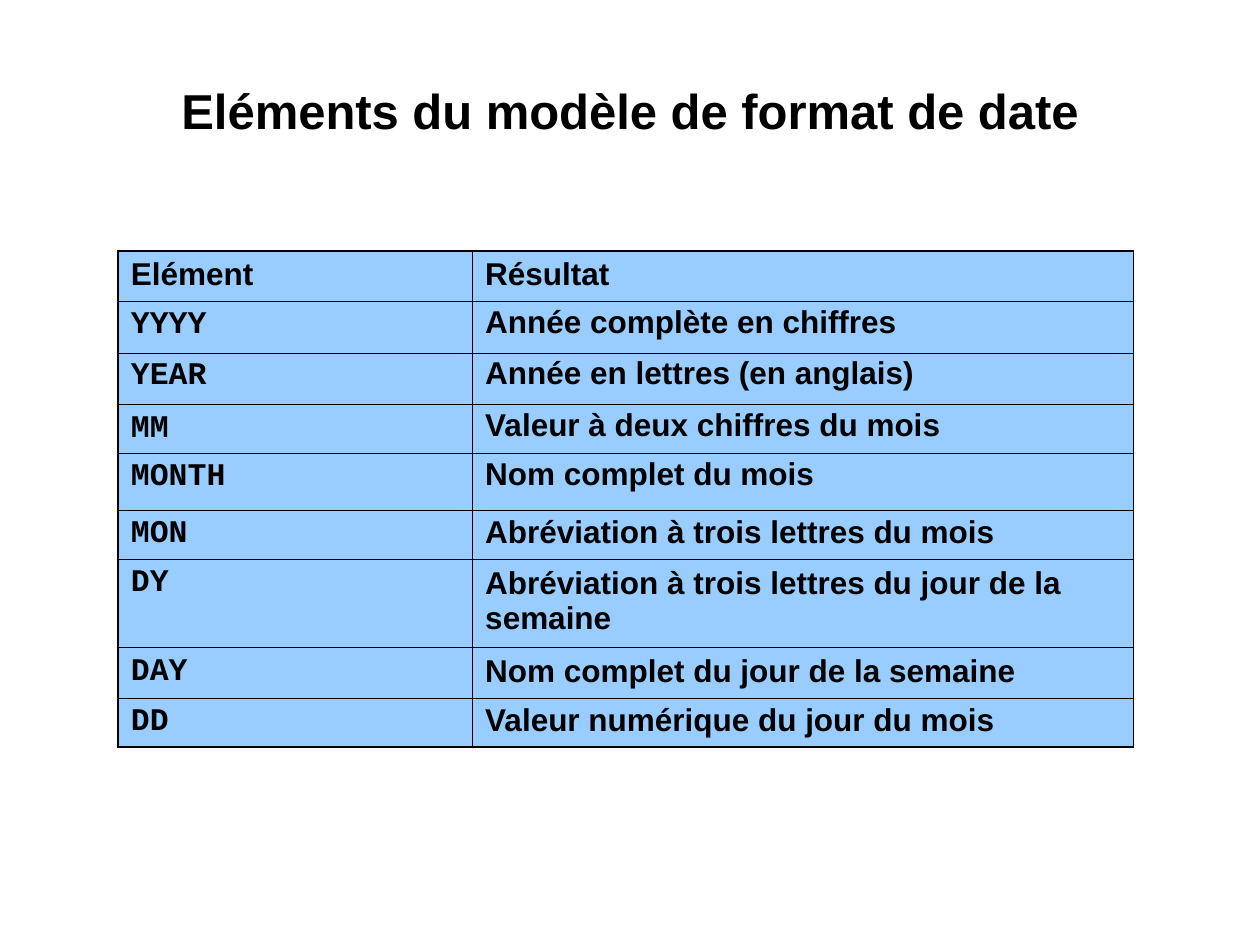
from pptx import Presentation
from pptx.dml.color import RGBColor as Rgb
from pptx.enum.text import MSO_ANCHOR as Anchor, PP_ALIGN as Align
from pptx.oxml.ns import qn
from pptx.util import Pt
from lxml.etree import SubElement

COLOURS = {"text": "000000", "border": "000000", "cell": "99CCFF", "page": "FFFFFF"}
SANS, MONO = "Arial", "Courier New"
THICK, THIN = 1.08, 0.45
COLUMN_WIDTHS = (202.5, 377.6)
HEADER = (28.8, ("Elément", SANS, 1, 4.5), ("Résultat", SANS, 1, 4.5))
FORMATS = [
    (29.5, "YYYY", 0.9, "Année complète en chiffres", 0.9, 0),
    (29.5, "YEAR", 0.9, "Année en lettres (en anglais)", 0.9, 0),
    (28, "MM", 0.95, "Valeur à deux chiffres du mois", 0.9, 0),
    (32.4, "MONTH", 0.9, "Nom complet du mois", 0.9, 0),
    (28, "MON", 0.95, "Abréviation à trois lettres du mois", 0.95, 7.9),
    (50.6, "DY", 0.95, "Abréviation à trois lettres du jour de la semaine", 1, 0),
    (28.6, "DAY", 0.95, "Nom complet du jour de la semaine", 1, 0),
    (28, "DD", 0.95, "Valeur numérique du jour du mois", 0.95, 7.9),
]


def write(frame, text, font, size, spacing=1, before=0, align=Align.LEFT):
    """Write one bold paragraph into a text frame."""
    para = frame.paragraphs[0]
    para.alignment = align
    para.line_spacing = spacing
    para.space_before = Pt(before)
    span = para.add_run()
    span.text = text
    span.font.name = font
    span.font.size = Pt(size)
    span.font.bold = True
    span.font.color.rgb = Rgb.from_string(COLOURS["text"])


def add_title(page, text):
    """Add the centred slide title."""
    box = page.shapes.add_textbox(Pt(72), Pt(41.8), Pt(576), Pt(69))
    frame = box.text_frame
    frame.word_wrap = True
    frame.vertical_anchor = Anchor.TOP
    frame.margin_left = frame.margin_right = frame.margin_bottom = Pt(0.7)
    frame.margin_top = Pt(4)
    write(frame, text, SANS, 28, before=7, align=Align.CENTER)


def set_borders(cell, widths):
    """Draw the left, right, top and bottom borders of a cell."""
    properties = cell._tc.get_or_add_tcPr()
    for side, width in zip("LRTB", widths):
        line = SubElement(properties, qn(f"a:ln{side}"), w=str(int(Pt(width))))
        fill = SubElement(line, qn("a:solidFill"))
        SubElement(fill, qn("a:srgbClr"), val=COLOURS["border"])


def add_format_table(page, rows):
    """Add the table of date format elements."""
    heights = [row[0] for row in rows]
    table = page.shapes.add_table(
        len(rows), len(COLUMN_WIDTHS), Pt(67.6), Pt(143.4),
        Pt(sum(COLUMN_WIDTHS)), Pt(sum(heights))).table
    for column, width in zip(table.columns, COLUMN_WIDTHS):
        column.width = Pt(width)
    last = len(rows) - 1
    for index, (height, *entries) in enumerate(rows):
        table.rows[index].height = Pt(height)
        top = THICK if index in (0, 1) else THIN
        bottom = THICK if index in (0, last) else THIN
        sides = ((THICK, THIN), (THIN, THICK))
        for cell, (text, font, spacing, before), pair in zip(
                table.rows[index].cells, entries, sides):
            set_borders(cell, (*pair, top, bottom))
            cell.fill.solid()
            cell.fill.fore_color.rgb = Rgb.from_string(COLOURS["cell"])
            cell.margin_left = cell.margin_right = Pt(7.2)
            cell.margin_top = cell.margin_bottom = Pt(3.6)
            write(cell.text_frame, text, font, 18, spacing, before)


def main():
    """Build the slide and save it."""
    deck = Presentation()
    deck.slide_width, deck.slide_height = Pt(720), Pt(540)
    page = deck.slides.add_slide(deck.slide_layouts[6])
    page.background.fill.solid()
    page.background.fill.fore_color.rgb = Rgb.from_string(COLOURS["page"])
    add_title(page, "Eléments du modèle de format de date")
    body = [
        (height, (code, MONO, code_spacing, 7.9), (result, SANS, spacing, before))
        for height, code, code_spacing, result, spacing, before in FORMATS
    ]
    add_format_table(page, [HEADER, *body])
    deck.save("out.pptx")


if __name__ == "__main__":
    main()
